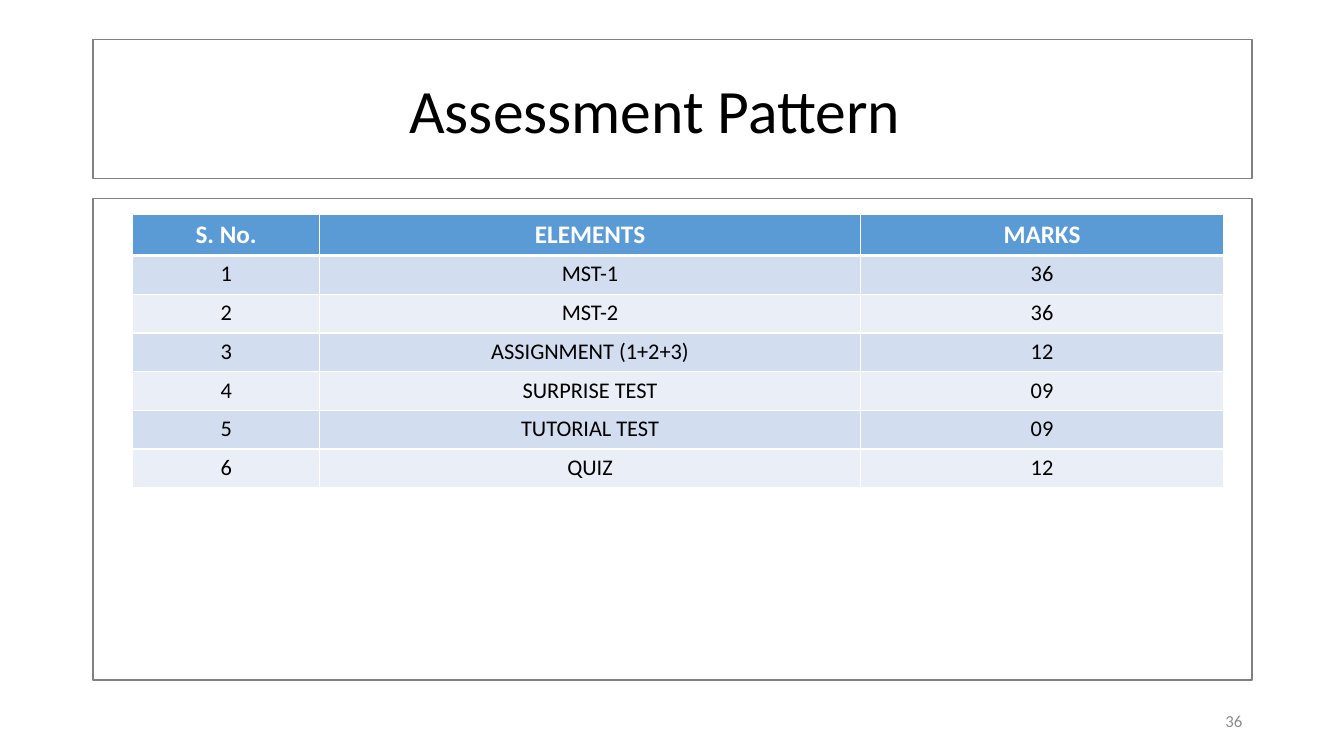
"""Build the assessment pattern slide with its table of marks."""
from dataclasses import dataclass

from lxml.etree import SubElement
from pptx import Presentation
from pptx.dml.color import RGBColor
from pptx.enum.shapes import MSO_SHAPE as Shape
from pptx.enum.text import MSO_ANCHOR as Anchor, PP_ALIGN as Align
from pptx.oxml.ns import qn
from pptx.util import Cm, Pt

WHITE, BLACK, GRAY = "FFFFFF", "000000", "808080"
HEADER_FILL, BAND_FILLS = "5B9BD5", ("D2DEEF", "EAEFF7")


@dataclass(frozen=True)
class Box:
    left: float
    top: float
    width: float
    height: float

    def lengths(self) -> tuple:
        return Cm(self.left), Cm(self.top), Cm(self.width), Cm(self.height)


@dataclass(frozen=True)
class Style:
    size: float
    color: str
    align: Align = Align.CENTER
    bold: bool = False


@dataclass(frozen=True)
class Label:
    text: str
    box: Box
    style: Style
    right_inset: float = 0.25


TITLE_BOX = Box(2.34, 1, 29.21, 3.5)
FRAMES = [Box(2.34, 5, 29.21, 12.14), TITLE_BOX]
LABELS = [
    Label("Assessment Pattern", TITLE_BOX, Style(44, BLACK), 1.12),
    Label("36", Box(23.94, 17.65, 7.62, 1.01), Style(12, "8C8C8C", Align.RIGHT)),
]
TABLE_BOX = Box(3.34, 5.41, 27.5, 6.83)
COLUMN_WIDTHS = [4.72, 13.62, 9.16]
HEADINGS = ("S. No.", "ELEMENTS", "MARKS")
MARKS = [
    ("MST-1", "36"),
    ("MST-2", "36"),
    ("ASSIGNMENT (1+2+3)", "12"),
    ("SURPRISE TEST", "09"),
    ("TUTORIAL TEST", "09"),
    ("QUIZ", "12"),
]


def rgb(color: str) -> RGBColor:
    return RGBColor.from_string(color)


def write(tf, text: str, style: Style) -> None:
    p = tf.paragraphs[0]
    p.alignment = style.align
    r = p.add_run()
    r.text = text
    r.font.name = "Calibri"
    r.font.size = Pt(style.size)
    r.font.bold = style.bold
    r.font.color.rgb = rgb(style.color)


def add_label(s, label: Label) -> None:
    tf = s.shapes.add_textbox(*label.box.lengths()).text_frame
    tf.word_wrap = True
    tf.vertical_anchor = Anchor.MIDDLE
    tf.margin_right = Cm(label.right_inset)
    write(tf, label.text, label.style)


def add_frame(s, box: Box) -> None:
    sp = s.shapes.add_shape(Shape.RECTANGLE, *box.lengths())
    sp.shadow.inherit = False
    sp.fill.background()
    sp.line.color.rgb = rgb(GRAY)
    sp.line.width = Pt(1)


def set_borders(cell, top: float, bottom: float) -> None:
    tc_pr = cell._tc.get_or_add_tcPr()
    for side, width in (("L", 1), ("R", 1), ("T", top), ("B", bottom)):
        ln = SubElement(tc_pr, qn(f"a:ln{side}"), w=str(Pt(width)))
        SubElement(SubElement(ln, qn("a:solidFill")), qn("a:srgbClr"), val=WHITE)


def add_marks_table(s) -> None:
    rows = [HEADINGS] + [(str(n), *row) for n, row in enumerate(MARKS, 1)]
    frame = s.shapes.add_table(len(rows), len(HEADINGS), *TABLE_BOX.lengths())
    table = frame.table
    for column, width in zip(table.columns, COLUMN_WIDTHS):
        column.width = Cm(width)
    for i, row in enumerate(rows):
        fill = BAND_FILLS[(i - 1) % 2] if i else HEADER_FILL
        style = Style(16, BLACK) if i else Style(18, WHITE, bold=True)
        for j, text in enumerate(row):
            cell = table.cell(i, j)
            set_borders(cell, 3 if i == 1 else 1, 1 if i else 3)
            cell.fill.solid()
            cell.fill.fore_color.rgb = rgb(fill)
            write(cell.text_frame, text, style)


def main() -> None:
    prs = Presentation()
    prs.slide_width, prs.slide_height = Cm(33.87), Cm(19.05)
    s = prs.slides.add_slide(prs.slide_layouts[6])
    add_marks_table(s)
    for label in LABELS:
        add_label(s, label)
    for box in FRAMES:
        add_frame(s, box)
    prs.save("out.pptx")


if __name__ == "__main__":
    main()
